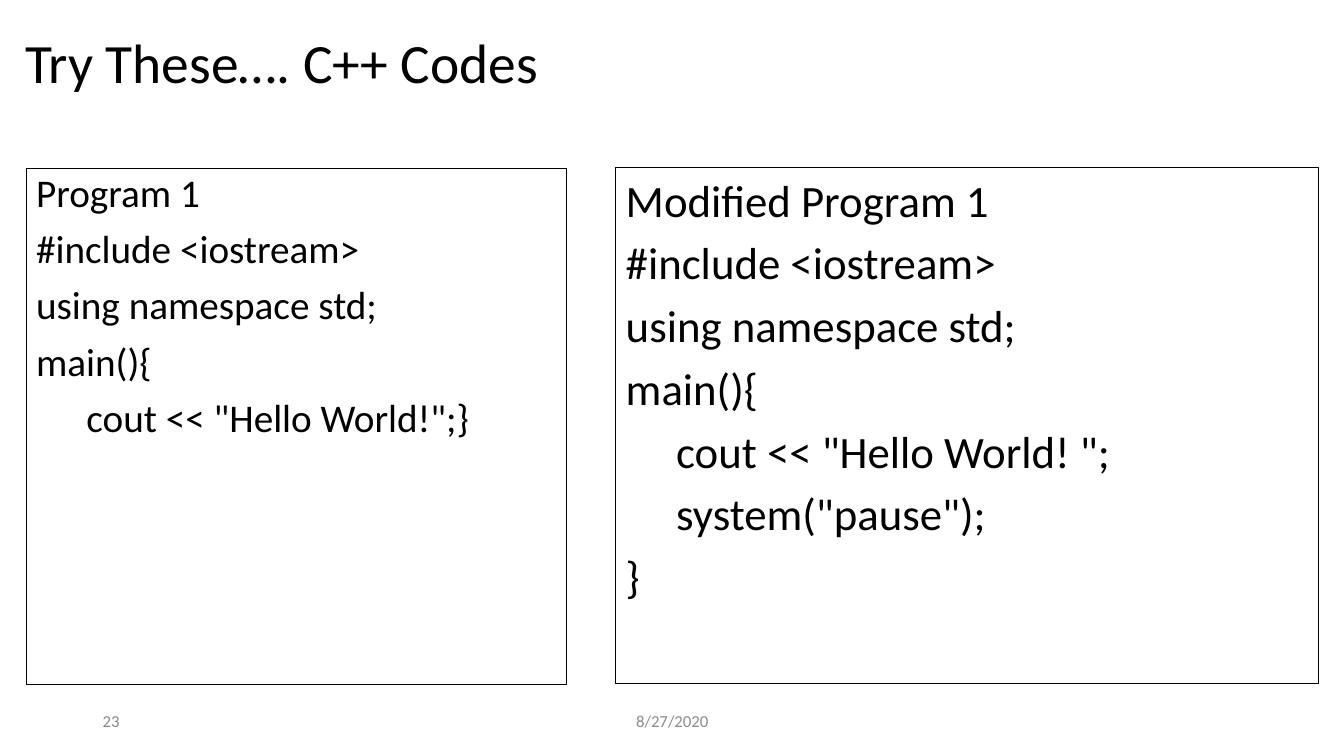
from pptx import Presentation
from pptx import util as u
from pptx.dml.color import RGBColor
from pptx.enum import text

Pt = u.Pt
BLACK = RGBColor(0, 0, 0)
DATE = RGBColor(0x8C, 0x8C, 0x8C)
GREY = RGBColor(0x89, 0x89, 0x89)
LEFT, MID = text.PP_ALIGN.LEFT, text.PP_ALIGN.CENTER

deck = Presentation()
deck.slide_width, deck.slide_height = Pt(960), Pt(540)
slide = deck.slides.add_slide(deck.slide_layouts[6])


def add_text(area, lines, size, color, anchor, **form):
    box = slide.shapes.add_textbox(*[Pt(n) for n in area])
    frame = box.text_frame
    frame.word_wrap = True
    frame.vertical_anchor = anchor
    for i, line in enumerate(lines):
        para = frame.paragraphs[0] if i == 0 else frame.add_paragraph()
        for key, value in form.items():
            setattr(para, key, value)
        run = para.add_run()
        run.text = line
        run.font.name = "Calibri"
        run.font.size = Pt(size)
        run.font.color.rgb = color
    return box


# Title
center, top = text.MSO_ANCHOR.MIDDLE, text.MSO_ANCHOR.TOP
add_text((10.8, 28.08, 938.16, 37.44), ["Try These…. C++ Codes"],
         39.6, BLACK, center, line_spacing=0.9)

# Code panels
head = ["#include <iostream>", "using namespace std;", "main(){"]
first = ["Program 1", *head, '\tcout << "Hello World!";}']
second = ["Modified Program 1", *head, '\tcout << "Hello World! ";',
          '\tsystem("pause");', "}"]
panels = [
    ((18.72, 120.24, 385.92, 368.64), first, 28,
     {"line_spacing": 0.9, "space_before": Pt(10)}),
    ((439.92, 119.52, 501.84, 368.64), second, 32,
     {"space_before": Pt(6.4)}),
]
for area, code, size, form in panels:
    panel = add_text(area, code, size, BLACK, top, **form)
    panel.line.color.rgb = BLACK
    panel.line.width = Pt(0.75)

# Footer: date and slide number
for x, width, word, color, align in [(318.24, 324, "8/27/2020", DATE, MID),
                                     (66.24, 216, "23", GREY, LEFT)]:
    add_text((x, 500.4, width, 28.8), [word], 12, color, center,
             alignment=align)

deck.save("out.pptx")
